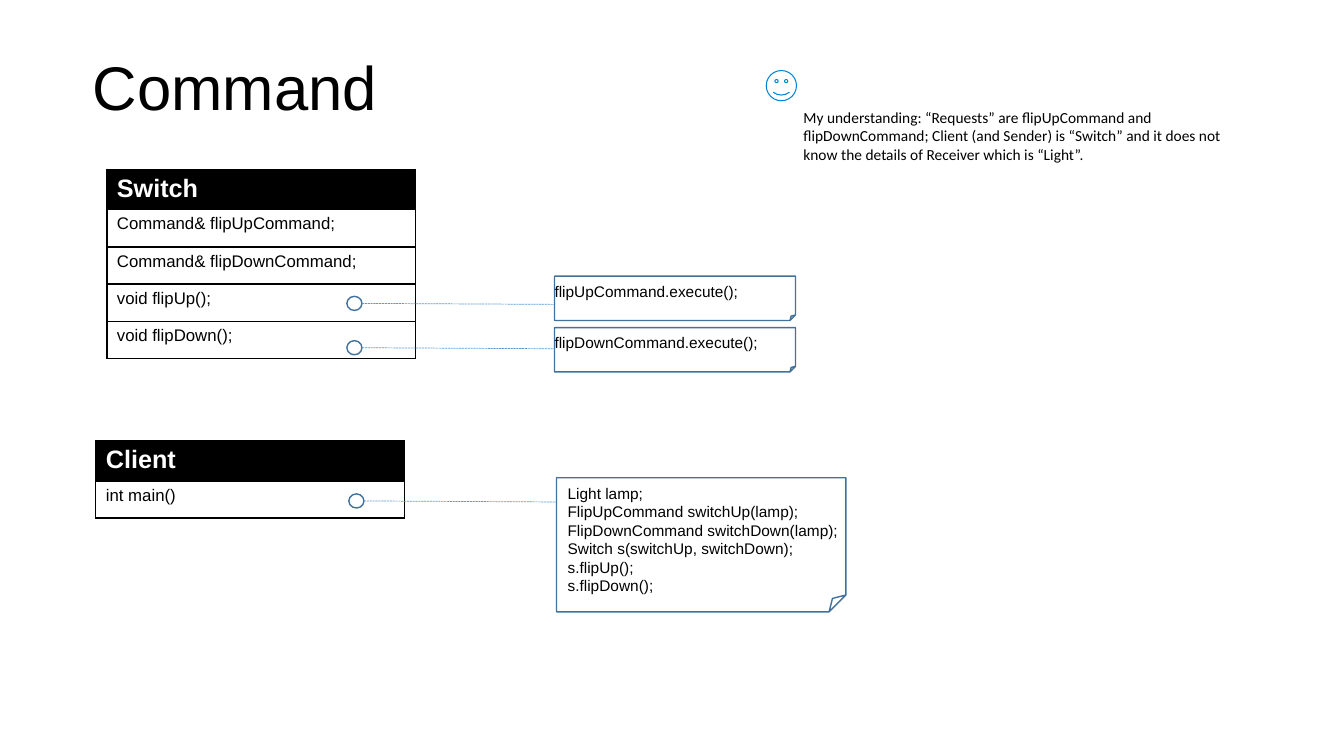
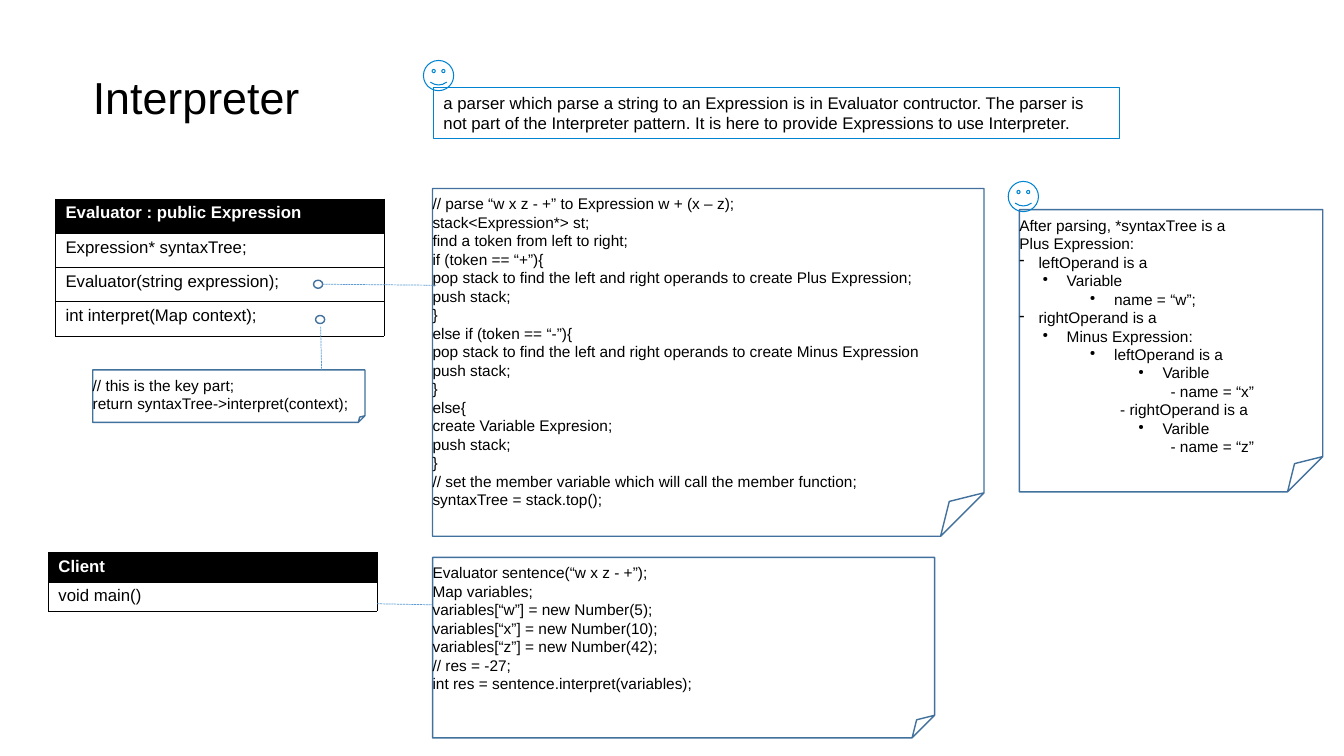
from lxml.etree import SubElement
from pptx import Presentation
from pptx.dml.color import RGBColor
from pptx.enum.dml import MSO_LINE
from pptx.enum.shapes import MSO_CONNECTOR, MSO_SHAPE
from pptx.enum.text import MSO_ANCHOR, MSO_AUTO_SIZE, PP_ALIGN
from pptx.oxml.ns import qn
from pptx.util import Inches, Pt

COLORS = {
    "black": "000000",
    "white": "FFFFFF",
    "note": "41719C",
    "link": "5B9BD5",
    "remark": "0084D1",
}
TITLE_ONLY = 5
DASH, DOT = "-", "●"


def color(name):
    return RGBColor.from_string(COLORS[name])


def inches(*lengths):
    return [Inches(length) for length in lengths]


# Text
def set_insets(target, left, top, right, bottom):
    target.margin_left, target.margin_top, target.margin_right, target.margin_bottom = inches(
        left, top, right, bottom)


def format_runs(paragraph, size, font="Arial", ink="black", bold=False):
    paragraph.alignment = PP_ALIGN.LEFT
    for run in paragraph.runs:
        run.font.name, run.font.size, run.font.bold = font, Pt(size), bold
        run.font.color.rgb = color(ink)


def write_text(shape, text, size, insets=(0.1, 0.05, 0.1, 0.05), font="Arial",
               anchor=MSO_ANCHOR.TOP):
    frame = shape.text_frame
    frame.text = text
    frame.word_wrap = True
    frame.auto_size = MSO_AUTO_SIZE.NONE
    frame.vertical_anchor = anchor
    set_insets(frame, *insets)
    for paragraph in frame.paragraphs:
        format_runs(paragraph, size, font)
    return frame


def indent(paragraph, level, margin, hanging, bullet):
    paragraph.level = level
    properties = paragraph._p.get_or_add_pPr()
    properties.set("marL", str(Inches(margin)))
    properties.set("indent", str(-Inches(hanging)))
    if bullet:
        bullet_color = SubElement(properties, qn("a:buClr"))
        SubElement(bullet_color, qn("a:srgbClr"), val=COLORS["black"])
        if bullet == DOT:
            SubElement(properties, qn("a:buSzPct"), val="45000")
        SubElement(properties, qn("a:buChar"), char=bullet)


# Shapes and lines
def add_outline(slide, kind, box, line_color, line_width):
    shape = slide.shapes.add_shape(kind, *inches(*box))
    shape.shadow.inherit = False
    shape.fill.background()
    shape.line.color.rgb = color(line_color)
    shape.line.width = Pt(line_width)
    return shape


def add_link(slide, start, end):
    link = slide.shapes.add_connector(MSO_CONNECTOR.STRAIGHT, *inches(*start, *end))
    link.line.color.rgb = color("link")
    link.line.width = Pt(0.5)
    link.line.dash_style = MSO_LINE.SQUARE_DOT
    SubElement(link._element.spPr, qn("a:effectLst"))


def add_dot(slide, box):
    add_outline(slide, MSO_SHAPE.OVAL, box, "note", 1)


def add_dot_link(slide, box, end_x):
    """A ring with a dashed line running right from its middle."""
    left, top, width, height = box
    add_dot(slide, box)
    middle = top + height / 2
    add_link(slide, (left + width, middle), (end_x, middle + 0.01))


def add_smiley(slide, left, top):
    add_outline(slide, MSO_SHAPE.SMILEY_FACE, (left, top, 0.3, 0.3), "remark", 0)


def add_note(slide, box, lines, inset=0):
    note = add_outline(slide, MSO_SHAPE.FOLDED_CORNER, box, "note", 1)
    # The size of the fold is an eighth of the shorter side
    guides = next(note._element.spPr.iter(qn("a:avLst")))
    SubElement(guides, qn("a:gd"), name="adj", fmla="val 12500")
    return write_text(note, "\n".join(lines), 11, (inset, 0.06, 0, 0.06))


# Class tables
def set_borders(cell, width):
    properties = cell._tc.get_or_add_tcPr()
    for position, side in enumerate(("lnL", "lnR", "lnT", "lnB")):
        border = properties.makeelement(qn("a:" + side), {"w": str(Pt(width))})
        fill = SubElement(border, qn("a:solidFill"))
        SubElement(fill, qn("a:srgbClr"), val=COLORS["black"])
        properties.insert(position, border)


def add_class(slide, left, top, width, name, members, header_height, row_height,
              header_size, border):
    heights = [header_height] + [row_height] * len(members)
    table = slide.shapes.add_table(
        len(heights), 1, *inches(left, top, width, sum(heights))).table
    table.horz_banding = False
    for index, text in enumerate([name, *members]):
        is_header = index == 0
        table.rows[index].height = Inches(heights[index])
        cell = table.cell(index, 0)
        cell.text = text
        cell.vertical_anchor = MSO_ANCHOR.TOP
        set_insets(cell, 0.1, 0.05, 0.1, 0.05)
        cell.fill.solid()
        cell.fill.fore_color.rgb = color("black" if is_header else "white")
        set_borders(cell, border)
        format_runs(cell.text_frame.paragraphs[0], header_size if is_header else 12,
                    ink="white" if is_header else "black", bold=is_header)


def add_titled_slide(presentation, title, box, size):
    slide = presentation.slides.add_slide(presentation.slide_layouts[TITLE_ONLY])
    placeholder = slide.shapes.title
    placeholder.left, placeholder.top, placeholder.width, placeholder.height = inches(*box)
    frame = write_text(placeholder, title, size, (0, 0, 0, 0), anchor=MSO_ANCHOR.MIDDLE)
    frame.paragraphs[0].line_spacing = 0.9
    return slide


# Command slide
def build_command_slide(presentation):
    slide = add_titled_slide(presentation, "Command", (0.92, 0.4, 3.18, 1), 44)
    class_style = dict(header_height=0.4, row_height=0.37, header_size=18, border=1.13)

    # Switch and its two calls
    add_class(slide, 1.06, 1.68, 3.06, "Switch",
              ["Command& flipUpCommand;", "Command& flipDownCommand;",
               "void flipUp();", "void flipDown();"], **class_style)
    calls = [(2.74, 2.94, "flipUpCommand.execute();"),
             (3.25, 3.38, "flipDownCommand.execute();")]
    for note_top, dot_top, call in calls:
        add_dot_link(slide, (3.44, dot_top, 0.15, 0.14), 5.5)
        add_note(slide, (5.5, note_top, 2.39, 0.44), [call])

    # Client and its main program
    add_class(slide, 0.95, 4.37, 3.06, "Client", ["int main()"], **class_style)
    add_dot_link(slide, (3.46, 4.9, 0.15, 0.14), 5.52)
    add_note(slide, (5.52, 4.74, 2.87, 1.33), [
        "Light lamp;",
        "FlipUpCommand switchUp(lamp);",
        "FlipDownCommand switchDown(lamp);",
        "Switch s(switchUp, switchDown);",
        "s.flipUp();",
        "s.flipDown();",
    ], inset=0.11)

    # Remark
    add_smiley(slide, 7.6, 0.7)
    remark = slide.shapes.add_textbox(*inches(7.87, 1.02, 4.5, 0.85))
    write_text(remark, "My understanding: “Requests” are flipUpCommand and flipDownCommand; "
               "Client (and Sender) is “Switch” and it does not know the details of "
               "Receiver which is “Light”.", 11, font="Calibri")


# Interpreter slide
def add_syntax_tree(slide, box):
    """Lines as text, level, left margin, hanging indent and bullet."""
    branches = [
        ("After parsing, *syntaxTree is a", 0, 0, 0, None),
        ("Plus Expression:", 0, 0, 0, None),
        ("leftOperand is a", 0, 0.19, 0.19, DASH),
        ("Variable", 1, 0.47, 0.24, DOT),
        ("name = “w”;", 3, 0.94, 0.24, DOT),
        ("rightOperand is a", 0, 0.19, 0.19, DASH),
        ("Minus Expression:", 1, 0.47, 0.24, DOT),
        ("leftOperand is a", 3, 0.94, 0.24, DOT),
        ("Varible", 5, 1.42, 0.24, DOT),
        ("- name = “x”", 0, 1.5, 0, None),
        ("- rightOperand is a", 0, 1, 0, None),
        ("Varible", 5, 1.42, 0.24, DOT),
        ("- name = “z”", 0, 1.5, 0, None),
    ]
    frame = add_note(slide, box, [branch[0] for branch in branches])
    for paragraph, branch in zip(frame.paragraphs, branches):
        indent(paragraph, *branch[1:])


def build_interpreter_slide(presentation):
    slide = add_titled_slide(presentation, "Interpreter", (0.92, 0.27, 11.5, 1.45), 32)

    # Remark
    remark = add_outline(slide, MSO_SHAPE.RECTANGLE, (4.3, 0.87, 6.8, 0.5), "remark", 0)
    write_text(remark, "a parser which parse a string to an Expression is in Evaluator "
               "contructor. The parser is not part of the Interpreter pattern. It is here "
               "to provide Expressions to use Interpreter.", 12)

    # Evaluator with its constructor and interpret code
    add_class(slide, 0.55, 1.97, 3.26, "Evaluator : public Expression",
              ["Expression* syntaxTree;", "Evaluator(string expression);",
               "int interpret(Map context);"],
              header_height=0.34, row_height=0.34, header_size=12, border=0.06)
    add_note(slide, (0.92, 3.67, 2.7, 0.52),
             ["// this is the key part;", "return syntaxTree->interpret(context);"])
    add_dot(slide, (3.13, 3.13, 0.09, 0.08))
    add_link(slide, (3.18, 3.24), (3.19, 3.67))
    add_note(slide, (4.29, 1.87, 5.47, 3.45), [
        "// parse “w x z - +” to Expression w + (x – z);",
        "stack<Expression*> st;",
        "find a token from left to right;",
        "if (token == “+”){",
        "pop stack to find the left and right operands to create Plus Expression;",
        "push stack;",
        "}",
        "else if (token == “-”){",
        "pop stack to find the left and right operands to create Minus Expression",
        "push stack;",
        "}",
        "else{",
        "create Variable Expresion;",
        "push stack;",
        "}",
        "// set the member variable which will call the member function;",
        "syntaxTree = stack.top();",
    ])
    add_dot_link(slide, (3.11, 2.78, 0.09, 0.08), 4.33)

    # Client and its main program
    add_class(slide, 0.48, 5.48, 3.26, "Client", ["void main()"],
              header_height=0.29, row_height=0.29, header_size=12, border=0.06)
    add_link(slide, (3.74, 5.99), (4.29, 6))
    add_note(slide, (4.29, 5.53, 4.98, 1.79), [
        "Evaluator sentence(“w x z - +”);",
        "Map variables;",
        "variables[“w”] = new Number(5);",
        "variables[“x”] = new Number(10);",
        "variables[“z”] = new Number(42);",
        "// res = -27;",
        "int res = sentence.interpret(variables);",
    ])

    # Parsed tree and the smileys
    add_syntax_tree(slide, (10.11, 2.08, 3.01, 2.8))
    add_smiley(slide, 4.2, 0.6)
    add_smiley(slide, 10, 1.8)


def main():
    presentation = Presentation()
    presentation.slide_width, presentation.slide_height = inches(13.33, 7.5)
    build_command_slide(presentation)
    build_interpreter_slide(presentation)
    presentation.save("out.pptx")


if __name__ == "__main__":
    main()
